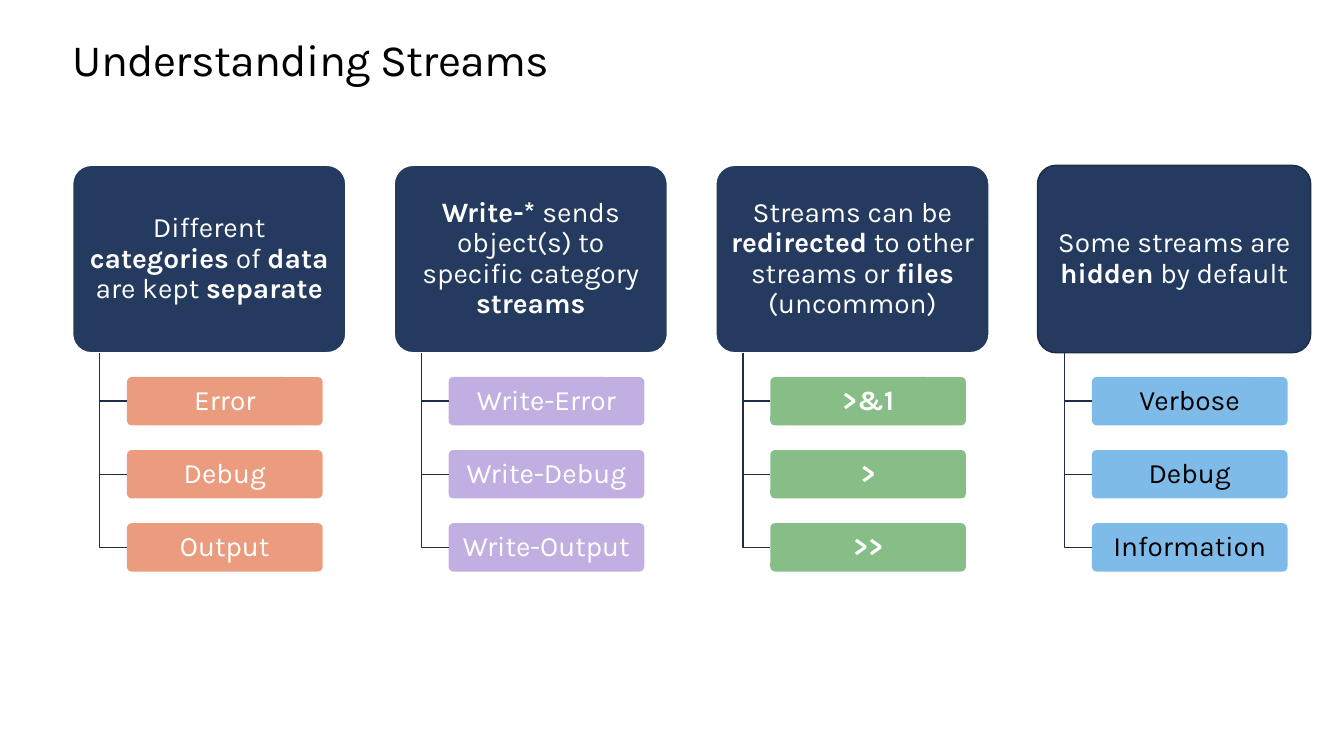
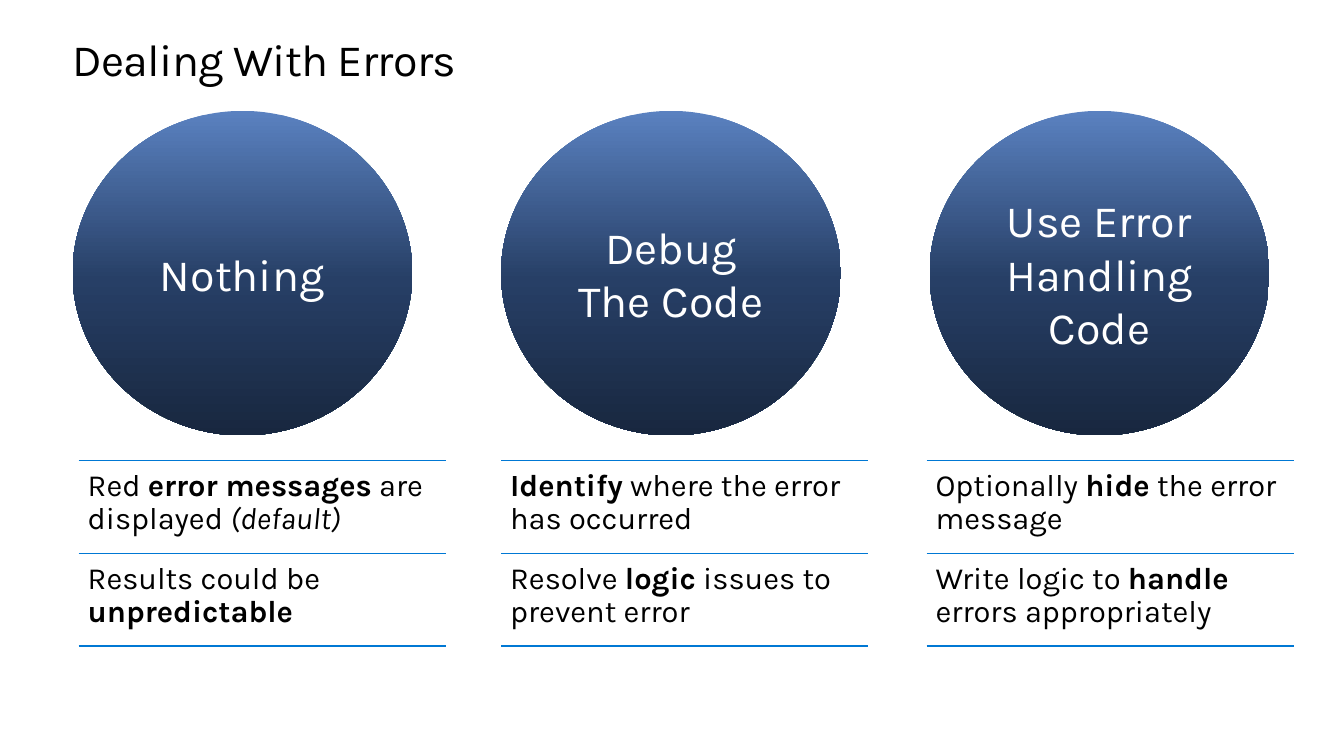
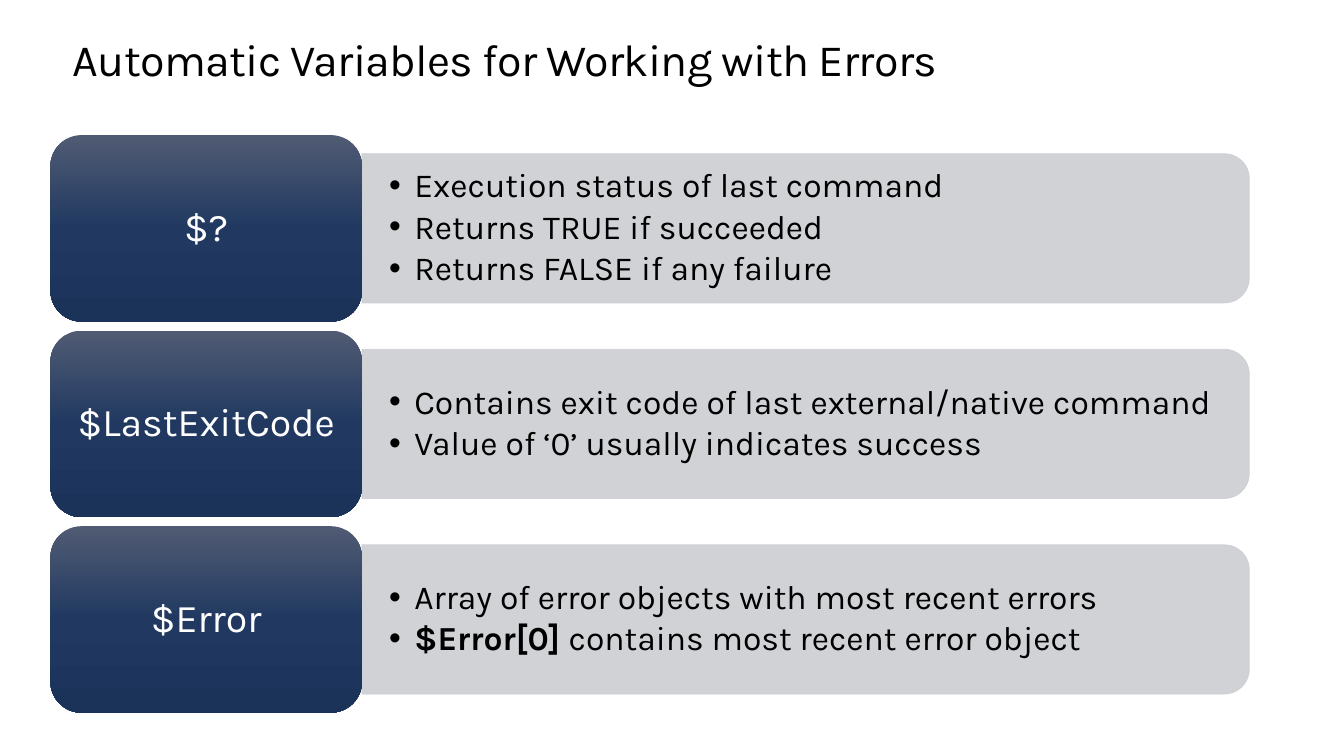
from collections import namedtuple

from pptx import Presentation
from pptx.dml.color import RGBColor
from pptx.enum.shapes import MSO_CONNECTOR, MSO_SHAPE
from pptx.enum.text import MSO_ANCHOR, PP_ALIGN
from pptx.oxml import parse_xml
from pptx.oxml.ns import nsdecls, qn
from pptx.oxml.xmlchemy import OxmlElement
from pptx.util import Inches, Pt

FONT = "Karla"
BLACK, WHITE = "000000", "FFFFFF"
NAVY, NAVY_EDGE, TRUNK = "243A5E", "1B2B46", "1D2E4B"
ORANGE, PURPLE, GREEN, BLUE = "D83B01", "8661C5", "107C10", "0078D4"
GRAY = "CDCED2"
# Gradients run from top to bottom: (position in percent, colour)
CIRCLE_GRADIENT = [(0, "5A81C0"), (52, "273F66"), (100, "18273F")]
LABEL_GRADIENT = [(0, "505B73"), (50, "213961"), (100, "1B3259")]

Span = namedtuple("Span", "text bold italic", defaults=(False, False))


def bold(text):
    return Span(text, bold=True)


def italic(text):
    return Span(text, italic=True)


def color(hex_code):
    return RGBColor.from_string(hex_code)


def place(*lengths):
    return [Inches(length) for length in lengths]


def set_opacity(shape, percent):
    for node in shape.element.spPr.iter(qn("a:srgbClr")):
        alpha = OxmlElement("a:alpha")
        alpha.set("val", str(percent * 1000))
        node.append(alpha)


def set_gradient(shape, stops):
    shape.fill.gradient()
    properties = shape.element.spPr
    stop_list = "".join(
        f'<a:gs pos="{position * 1000}"><a:srgbClr val="{hex_code}"/></a:gs>'
        for position, hex_code in stops)
    gradient = parse_xml(
        f'<a:gradFill {nsdecls("a")} rotWithShape="1"><a:gsLst>{stop_list}</a:gsLst>'
        '<a:lin ang="5400000" scaled="0"/></a:gradFill>')
    properties.replace(properties.find(qn("a:gradFill")), gradient)


def add_bullet(para, indent=0.25):
    properties = para._p.get_or_add_pPr()
    properties.set("marL", str(Inches(indent)))
    properties.set("indent", str(-Inches(indent)))
    for tag, name, value in (("a:buFont", "typeface", "Arial"), ("a:buChar", "char", "•")):
        node = OxmlElement(tag)
        node.set(name, value)
        properties.append(node)


def add_spans(para, spans, size, hex_code):
    for item in spans:
        if item == "\n":
            para.add_line_break()
            continue
        span = item if isinstance(item, Span) else Span(item)
        run = para.add_run()
        run.text = span.text
        run.font.name, run.font.size = FONT, Pt(size)
        run.font.color.rgb = color(hex_code)
        run.font.bold, run.font.italic = span.bold, span.italic


def write(box, paras, size, hex_code=WHITE, insets=(0.04, 0.03), spacing=0.9,
          align=PP_ALIGN.CENTER, anchor=MSO_ANCHOR.MIDDLE, bullets=False):
    """Fill a box with paragraphs, each a list of strings and spans."""
    frame = box.text_frame
    frame.word_wrap = True
    frame.vertical_anchor = anchor
    frame.margin_left = frame.margin_right = Inches(insets[0])
    frame.margin_top = frame.margin_bottom = Inches(insets[1])
    for index, spans in enumerate(paras):
        para = frame.add_paragraph() if index else frame.paragraphs[0]
        para.alignment = align
        para.line_spacing = spacing
        if bullets:
            para.space_after = Pt(3.6)
            add_bullet(para)
        add_spans(para, spans, size, hex_code)


def add_box(page, kind, bounds, fill=None, line=None, line_width=1, adjust=None):
    shape = page.shapes.add_shape(kind, *place(*bounds))
    shape.shadow.inherit = False
    if adjust is not None:
        shape.adjustments[0] = adjust
    if isinstance(fill, list):
        set_gradient(shape, fill)
    else:
        shape.fill.solid()
        shape.fill.fore_color.rgb = color(fill)
    if line:
        shape.line.color.rgb = color(line)
        shape.line.width = Pt(line_width)
    else:
        shape.line.fill.background()
    return shape


def add_rule(page, left, y, width):
    rule = page.shapes.add_connector(MSO_CONNECTOR.STRAIGHT, *place(left, y, left + width, y))
    rule.line.color.rgb = color(BLUE)
    rule.line.width = Pt(1)
    rule.element.spPr.append(OxmlElement("a:effectLst"))


def add_elbow(page, left, top, right, bottom):
    """An open outline that goes down and then right."""
    builder = page.shapes.build_freeform(*place(left, top))
    builder.add_line_segments([place(left, bottom), place(right, bottom)], close=False)
    elbow = builder.convert_to_shape()
    elbow.shadow.inherit = False
    elbow.fill.background()
    elbow.line.color.rgb = color(TRUNK)
    elbow.line.width = Pt(1)


def add_page(deck, title):
    page = deck.slides.add_slide(deck.slide_layouts[6])
    box = add_box(page, MSO_SHAPE.RECTANGLE, (0.72, 0.35, 11.9, 0.5), WHITE)
    write(box, [[title]], 32, BLACK, insets=(0, 0), spacing=Pt(36.2),
          align=PP_ALIGN.LEFT, anchor=MSO_ANCHOR.TOP)
    for run in box.text_frame.paragraphs[0].runs:
        run.font._element.set("spc", "-50")
    return page


def add_stream_column(page, left, heading, items, fill, text_color, edge):
    """A card with elbows that lead from its bottom to the items."""
    top, height = 1.64, 1.86
    first, pitch, item_height = 3.74, 0.725, 0.48
    item_left = left + 0.54
    card = add_box(page, MSO_SHAPE.ROUNDED_RECTANGLE, (left, top, 2.71, height),
                   NAVY, edge, adjust=0.1)
    write(card, [heading], 20)
    for row, spans in enumerate(items):
        item_top = first + row * pitch
        add_elbow(page, left + 0.27, top + height, item_left, item_top + item_height / 2)
        item = add_box(page, MSO_SHAPE.ROUNDED_RECTANGLE,
                       (item_left, item_top, 1.94, item_height), fill, adjust=0.1)
        set_opacity(item, 50)
        write(item, [spans], 20, text_color)


def add_ruled_list(page, left, rows):
    """Texts with a rule above each one and a last rule below."""
    top, width, pitch = 4.57, 3.64, 0.92
    for row in range(len(rows) + 1):
        add_rule(page, left, top + row * pitch, width)
    for row, spans in enumerate(rows):
        box = page.shapes.add_textbox(*place(left, top + row * pitch, width, pitch))
        write(box, [spans], 22, BLACK, insets=(0.09, 0.09),
              align=PP_ALIGN.LEFT, anchor=MSO_ANCHOR.TOP)


def add_variable_row(page, top, name, facts):
    """A label with a panel of bullets whose right corners are round."""
    left, label_width, label_height = 0.5, 3.09, 1.85
    panel_left, panel_width, panel_height = left + label_width, 8.8, 1.48
    middle = top + label_height / 2
    # The panel stands upright before its quarter turn about the centre
    panel = add_box(page, MSO_SHAPE.ROUND_2_SAME_RECTANGLE,
                    (panel_left + (panel_width - panel_height) / 2,
                     middle - panel_width / 2, panel_height, panel_width),
                    GRAY, GRAY, 0.5)
    panel.rotation = 90
    set_opacity(panel, 90)
    box = page.shapes.add_textbox(*place(panel_left, middle - 0.67, 8.73, 1.34))
    write(box, facts, 24, BLACK, insets=(0.27, 0.14), align=PP_ALIGN.LEFT, bullets=True)
    label = add_box(page, MSO_SHAPE.ROUNDED_RECTANGLE,
                    (left, top, label_width, label_height), LABEL_GRADIENT)
    write(label, [[name]], 28, insets=(0.12, 0.06))


def build_streams(deck):
    page = add_page(deck, "Understanding Streams")
    columns = [
        (["Different ", bold("categories"), " of ", bold("data"), " are kept ",
          bold("separate")],
         [["Error"], ["Debug"], ["Output"]], ORANGE, WHITE, WHITE),
        ([bold("Write-* "), "sends object(s) to specific category ", bold("streams")],
         [["Write-Error"], ["Write-Debug"], ["Write-Output"]], PURPLE, WHITE, WHITE),
        (["Streams can be ", bold("redirected"), " to other streams or ",
          bold("files"), "\n", "(uncommon)"],
         [[bold(">&1")], [bold(">")], [bold(">>")]], GREEN, WHITE, WHITE),
        (["Some streams are ", bold("hidden"), " by default"],
         [["Verbose"], ["Debug"], ["Information"]], BLUE, BLACK, NAVY_EDGE),
    ]
    for index, column in enumerate(columns):
        add_stream_column(page, 0.72 + index * 3.19, *column)


def build_errors(deck):
    page = add_page(deck, "Dealing With Errors")
    options = [
        ("Nothing", 0.78,
         [["Red ", bold("error messages"), " are displayed ", italic("(default)")],
          ["Results could be ", bold("unpredictable")]]),
        ("Debug The Code", 4.97,
         [[bold("Identify"), " where the error has occurred"],
          ["Resolve ", bold("logic"), " issues to prevent error"]]),
        ("Use Error Handling Code", 9.19,
         [["Optionally ", bold("hide"), " the error message"],
          ["Write logic to ", bold("handle"), " errors appropriately"]]),
    ]
    for index, (name, list_left, rows) in enumerate(options):
        circle = add_box(page, MSO_SHAPE.OVAL, (0.72 + index * 4.25, 1.1, 3.37, 3.22),
                         CIRCLE_GRADIENT)
        write(circle, [[name]], 32, insets=(0.17, 0.17), spacing=1.0)
        add_ruled_list(page, list_left, rows)


def build_variables(deck):
    page = add_page(deck, "Automatic Variables for Working with Errors")
    variables = [
        ("$?", [["Execution status of last command"],
                ["Returns TRUE if succeeded"],
                ["Returns FALSE if any failure"]]),
        ("$LastExitCode", [["Contains exit code of last external/native command"],
                           ["Value of ‘0’ usually indicates success"]]),
        ("$Error", [["Array of error objects with most recent errors"],
                    [bold("$Error[0] "), "contains most recent error object"]]),
    ]
    for index, (name, facts) in enumerate(variables):
        add_variable_row(page, 1.34 + index * 1.94, name, facts)


def main():
    deck = Presentation()
    deck.slide_width, deck.slide_height = place(13.33, 7.5)
    build_streams(deck)
    build_errors(deck)
    build_variables(deck)
    deck.save("out.pptx")


if __name__ == "__main__":
    main()
